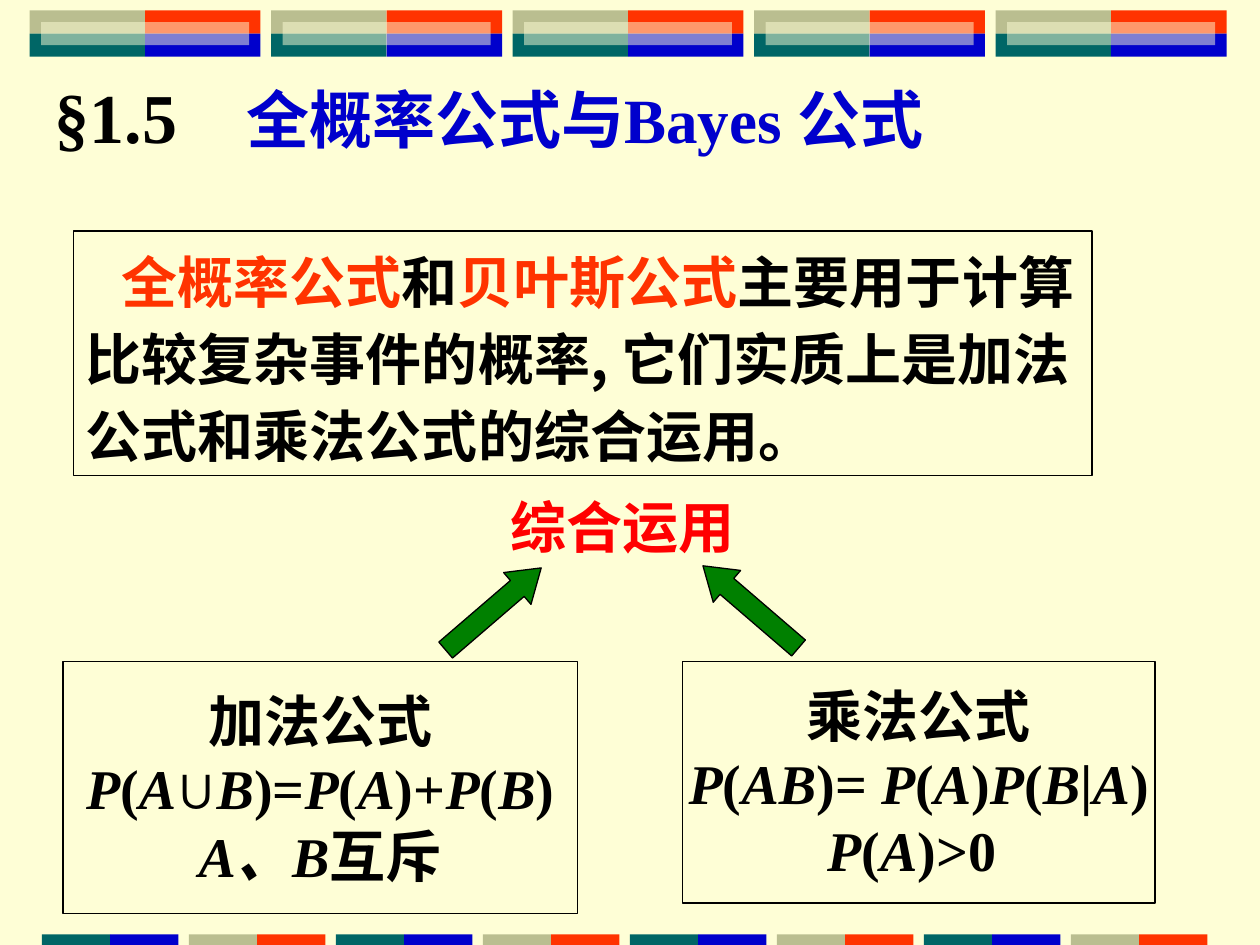
import itertools

import pptx
import pptx.dml.color
import pptx.enum.shapes
import pptx.enum.text
import pptx.oxml
import pptx.oxml.ns
import pptx.util

SERIF, SANS, SYMBOL = "Times New Roman", "Noto Sans CJK SC", "Arial"
COLORS = {
    "cream": "FEFED6", "olive": "BABE90", "teal": "006666", "orange": "FF3300",
    "blue": "0000CC", "red": "FF0000", "green": "008000", "black": "000000",
}
ALIGN = pptx.enum.text.PP_ALIGN
ANCHOR = pptx.enum.text.MSO_ANCHOR
SHAPES = pptx.enum.shapes.MSO_SHAPE


def rgb(name):
    return pptx.dml.color.RGBColor.from_string(COLORS[name])


def add_text(paragraph, text, font=SERIF, size=32, color="black", italic=False):
    run = paragraph.add_run()
    run.text = text
    run.font.name, run.font.size = font, pptx.util.Pt(size)
    run.font.bold, run.font.italic = True, italic
    run.font.color.rgb = rgb(color)
    east_asian = pptx.oxml.parse_xml(
        f'<a:ea {pptx.oxml.ns.nsdecls("a")} typeface="{SANS}"/>')
    run.font._element.find(pptx.oxml.ns.qn("a:latin")).addnext(east_asian)


def formula_style(char):
    if char == "∪":
        return SYMBOL, False
    return SERIF, char == "、" or (char.isascii() and char.isalpha())


class Board:
    COLUMNS, ROWS = 120, 90

    def __init__(self, deck):
        self.unit = deck.slide_width / self.COLUMNS
        self.slide = deck.slides.add_slide(deck.slide_layouts[5])
        self.slide.background.fill.solid()
        self.slide.background.fill.fore_color.rgb = rgb("cream")

    def grid(self, *cells):
        return [pptx.util.Emu(round(cell * self.unit)) for cell in cells]

    def shape(self, place, fill=None, outlined=False, kind=SHAPES.RECTANGLE):
        shape = self.slide.shapes.add_shape(kind, *self.grid(*place))
        shape.shadow.inherit = False
        if fill:
            shape.fill.solid()
            shape.fill.fore_color.rgb = rgb(fill)
        else:
            shape.fill.background()
        if outlined:
            shape.line.color.rgb = rgb("black")
            shape.line.width = pptx.util.Pt(0.75)
        else:
            shape.line.fill.background()
        return shape

    def veil(self, place):
        veil = self.shape(place, "cream")
        color = veil.fill._xPr.find(".//" + pptx.oxml.ns.qn("a:srgbClr"))
        color.append(pptx.oxml.parse_xml(
            f'<a:alpha {pptx.oxml.ns.nsdecls("a")} val="50000"/>'))

    def title(self, place, number, name):
        title = self.slide.shapes.title
        title.left, title.top, title.width, title.height = self.grid(*place)
        frame = title.text_frame
        frame.word_wrap, frame.vertical_anchor = True, ANCHOR.MIDDLE
        frame.auto_size = pptx.enum.text.MSO_AUTO_SIZE.NONE
        frame.margin_right = 0
        paragraph = frame.paragraphs[0]
        paragraph.alignment = ALIGN.LEFT
        gap = pptx.util.Inches(1.52)
        paragraph._p.get_or_add_pPr().set("marL", str(gap))
        paragraph._p.get_or_add_pPr().set("indent", str(-gap))
        add_text(paragraph, number + "\t", size=40)
        add_text(paragraph, name, size=36, color="blue")

    def summary(self, place, pieces):
        frame = self.shape(place, outlined=True).text_frame
        frame.word_wrap, frame.vertical_anchor = True, ANCHOR.TOP
        paragraph = frame.paragraphs[0]
        paragraph.alignment, paragraph.line_spacing = ALIGN.LEFT, 1.15
        paragraph.space_before = pptx.util.Pt(20)
        paragraph._p.get_or_add_pPr().set("indent", str(pptx.util.Inches(0.28)))
        for text, color in pieces:
            add_text(paragraph, text, font=SANS, color=color)

    def label(self, place, text, color):
        frame = self.slide.shapes.add_textbox(*self.grid(*place)).text_frame
        frame.word_wrap, frame.vertical_anchor = True, ANCHOR.MIDDLE
        frame.paragraphs[0].alignment = ALIGN.CENTER
        add_text(frame.paragraphs[0], text, color=color)

    def formula_box(self, place, lines):
        frame = self.shape(place, "cream", outlined=True).text_frame
        frame.word_wrap, frame.vertical_anchor = False, ANCHOR.MIDDLE
        for index, line in enumerate(lines):
            paragraph = frame.add_paragraph() if index else frame.paragraphs[0]
            paragraph.alignment = ALIGN.CENTER
            for (font, italic), chars in itertools.groupby(line, formula_style):
                add_text(paragraph, "".join(chars), font=font, italic=italic)

    def arrow(self, place, rotation):
        arrow = self.shape(place, "green", outlined=True, kind=SHAPES.RIGHT_ARROW)
        arrow.adjustments[0], arrow.adjustments[1] = 0.5, 0.75
        arrow.rotation = rotation

    def top_band(self, left=2.82, top=1, width=11, height=2.2, step=23, count=5):
        tiles = [("olive", "orange"), ("teal", "blue")]
        for index in range(count):
            x = left + index * step
            for row, colors in enumerate(tiles):
                for column, color in enumerate(colors):
                    self.shape((x + column * width, top + row * height,
                                width, height), color)
            inset = height / 2
            self.veil((x + inset, top + inset, 2 * (width - inset), height))

    def bottom_band(self, left=4, width=6.5, step=14, count=8):
        pairs = itertools.cycle([("teal", "blue"), ("olive", "orange")])
        for index, colors in zip(range(count), pairs):
            for column, color in enumerate(colors):
                self.shape((left + index * step + column * width,
                            self.ROWS - 1, width, 1), color)


def main():
    deck = pptx.Presentation()
    deck.slide_width, deck.slide_height = pptx.util.Inches(10), pptx.util.Inches(7.5)
    board = Board(deck)
    board.top_band()
    board.bottom_band()
    board.title((4, 7, 88, 8), "§1.5", "全概率公式与Bayes 公式")
    board.summary((7, 22, 97, 23.3), [
        ("全概率公式", "orange"),
        ("和", "black"),
        ("贝叶斯公式", "orange"),
        ("主要用于计算比较复杂事件的概率, 它们实质上是加法公式和乘法公式的综合运用。", "black"),
    ])
    board.label((42.8, 46.3, 33, 7.7), "综合运用", "red")
    board.formula_box((6, 63, 49, 24), ["加法公式", "P(A∪B)=P(A)+P(B)", "A、B互斥"])
    board.formula_box((65, 63, 45, 23), ["乘法公式", "P(AB)= P(A)P(B|A)", "P(A)>0 "])
    board.arrow((41, 56, 12, 4), 319.3)
    board.arrow((65.5, 55.8, 12, 4), 220.7)
    deck.save("out.pptx")


if __name__ == "__main__":
    main()
